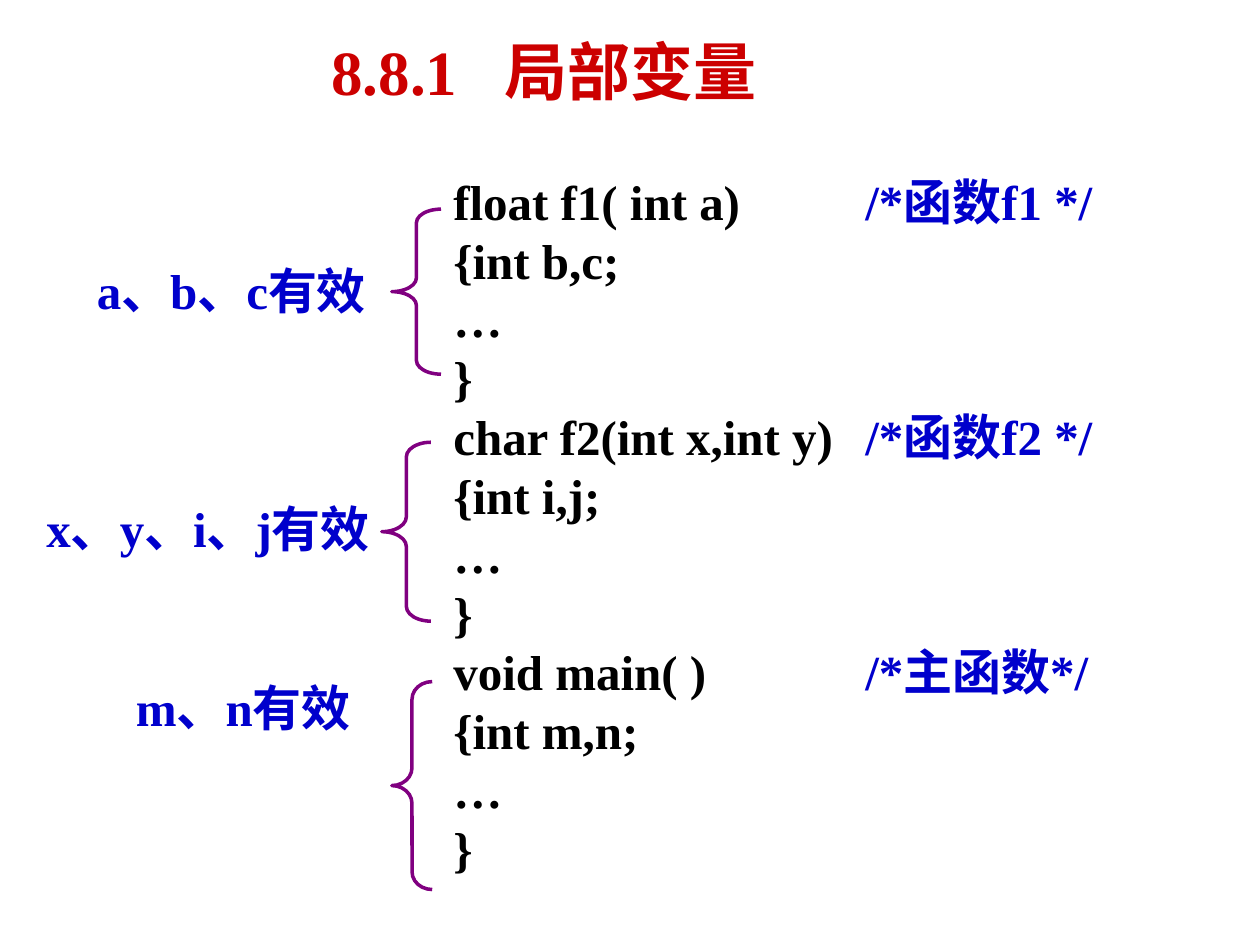
from dataclasses import dataclass

from lxml import etree
from pptx import Presentation
from pptx.dml.color import RGBColor
from pptx.enum import shapes, text
from pptx.oxml import ns
from pptx.util import Inches, Pt


@dataclass(frozen=True)
class Theme:
    face: str = "Times New Roman"
    head: RGBColor = RGBColor(0xCC, 0, 0)
    note: RGBColor = RGBColor(0, 0, 0xCC)
    code: RGBColor = RGBColor(0, 0, 0)
    brace: RGBColor = RGBColor(0x80, 0, 0x80)
    big: int = 36
    body: int = 28


THEME = Theme()

# Each function: code lines, its comment
FUNCS = [
    (["float f1( int a)", "{int b,c;", "…", "}"], "/*函数f1 */"),
    (["char f2(int x,int y)", "{int i,j;", "…", "}"], "/*函数f2 */"),
    (["void main( )", "{int m,n;", "…", "}"], "/*主函数*/"),
]

# Each scope: label, label box, brace box, brace curve
SCOPES = [
    ("a、b、c有效", (0.67, 2.02, 2.44, 0.57), (3.11, 1.66, 0.39, 1.31), 0.28),
    ("x、y、i、j有效", (0.27, 3.91, 2.91, 0.57), (3.03, 3.51, 0.39, 1.42), 0.3),
    ("m、n有效", (0.98, 5.33, 2.05, 0.57), (3.11, 5.41, 0.32, 1.65), 0.44),
]


def inch(box):
    return [Inches(n) for n in box]


def style(para, size, color):
    font = para.font
    font.name, font.size, font.bold = THEME.face, Pt(size), True
    if color is not None:
        font.color.rgb = color


def add_tab(para, pos):
    tabs = etree.SubElement(para._p.get_or_add_pPr(), ns.qn("a:tabLst"))
    etree.SubElement(tabs, ns.qn("a:tab"), pos=str(Inches(pos)), algn="l")


def add_box(slide, box):
    frame = slide.shapes.add_textbox(*inch(box)).text_frame
    frame.word_wrap = True
    return frame


def add_title(slide, box):
    title = slide.shapes.title
    title.left, title.top, title.width, title.height = inch(box)
    frame = title.text_frame
    frame.vertical_anchor = text.MSO_ANCHOR.MIDDLE
    frame.auto_size = text.MSO_AUTO_SIZE.NONE
    para = frame.paragraphs[0]
    para.text = "8.8.1\t局部变量"
    para.alignment = text.PP_ALIGN.LEFT
    add_tab(para, 1.37)
    style(para, THEME.big, THEME.head)


def add_code(slide, box):
    frame = add_box(slide, box)
    para = frame.paragraphs[0]
    for lines, note in FUNCS:
        for num, line in enumerate(lines):
            if para is None:
                para = frame.add_paragraph()
            if num == 0:
                # Signature with its comment at a shared tab stop
                add_tab(para, 3.27)
                style(para, THEME.body, None)
                for part, color in ((line + "\t", THEME.code), (note, THEME.note)):
                    run = para.add_run()
                    run.text = part
                    run.font.color.rgb = color
            else:
                para.text = line
                style(para, THEME.body, THEME.code)
            para = None


def add_scope(slide, label, box, span, curve):
    para = add_box(slide, box).paragraphs[0]
    para.text = label
    style(para, THEME.body, THEME.note)

    # Brace around the function where the names are valid
    brace = slide.shapes.add_shape(shapes.MSO_SHAPE.LEFT_BRACE, *inch(span))
    brace.adjustments[0] = curve
    brace.shadow.inherit = False
    brace.fill.background()
    brace.line.color.rgb = THEME.brace
    brace.line.width = Pt(2)


def main():
    deck = Presentation()
    deck.slide_width, deck.slide_height = Inches(10), Inches(7.5)
    slide = deck.slides.add_slide(deck.slide_layouts[5])
    add_title(slide, (2.53, 0.28, 3.89, 0.55))
    for scope in SCOPES:
        add_scope(slide, *scope)
    add_code(slide, (3.5, 1.31, 5.9, 5.7))
    deck.save("out.pptx")


if __name__ == "__main__":
    main()
